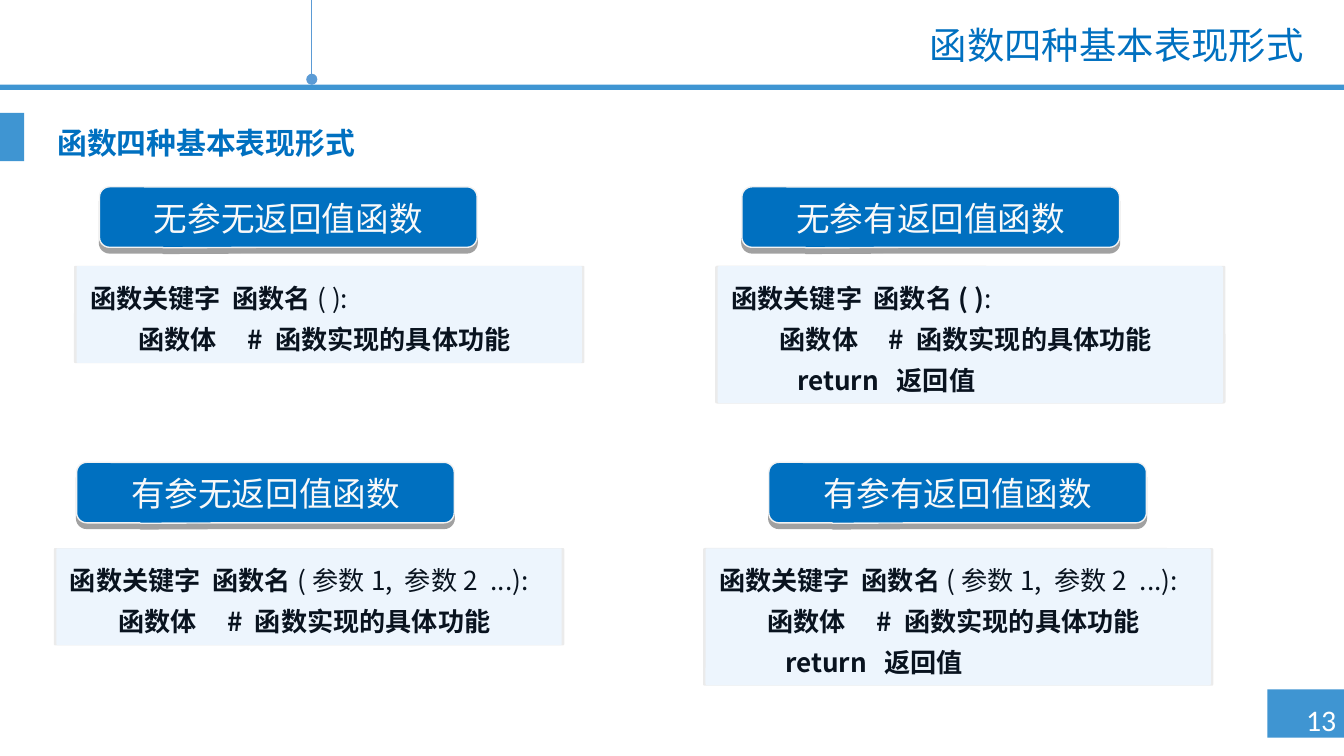
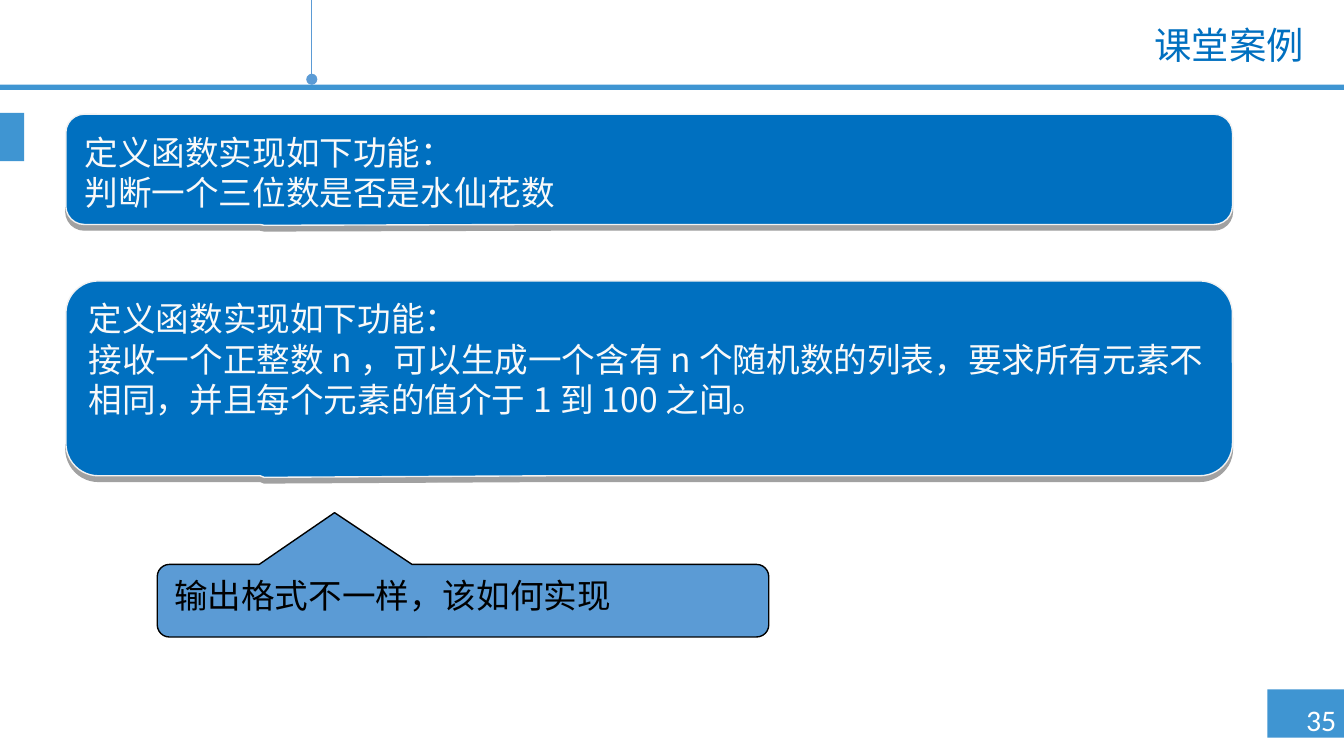
import pptx
import pptx.util
import pptx.oxml
import pptx.oxml.ns
import pptx.dml.color
import pptx.enum.shapes
import pptx.enum.text
from lxml import etree

Inches = pptx.util.Inches
Pt = pptx.util.Pt
qn = pptx.oxml.ns.qn
MSO = pptx.enum.shapes.MSO_SHAPE
ALIGN = pptx.enum.text.PP_ALIGN
ANCHOR = pptx.enum.text.MSO_ANCHOR

COLORS = {
    "band": "3F95D2",
    "rule": "5B9BD5",
    "blue": "0070C0",
    "edge": "F2F2F2",
    "light": "F9F9F9",
    "panel": "EDF5FD",
    "code": "09131F",
    "black": "000000",
    "white": "FFFFFF",
}
CJK = "Noto Sans CJK SC"
TAIL_DOWN = (-0.33, 0.508, 0.167)
TAIL_UP = (-0.21, -1.213, 0.167)
BODY_LINE = ("\t函数体\t# 函数实现的具体功能", "", [0.36, 1.17])
RETURN_LINE = ("\treturn\t返回值", "", [0.49, 1.23])


def rgb(name):
    return pptx.dml.color.RGBColor.from_string(COLORS[name])


def add_box(slide, kind, box, fill, line=None, adj=()):
    sp = slide.shapes.add_shape(kind, *map(Inches, box))
    sp.shadow.inherit = False
    sp.fill.solid()
    sp.fill.fore_color.rgb = rgb(fill)
    if line:
        sp.line.color.rgb = rgb(line)
        sp.line.width = Pt(0.75)
    else:
        sp.line.fill.background()
    for i, value in enumerate(adj):
        sp.adjustments[i] = value
    return sp


def add_shadow(sp, alpha, **attrs):
    effects = sp._element.spPr.find(qn("a:effectLst"))
    shadow = etree.SubElement(effects, qn("a:outerShdw"), rotWithShape="0", **attrs)
    color = etree.SubElement(shadow, qn("a:srgbClr"), val=COLORS["black"])
    etree.SubElement(color, qn("a:alpha"), val=str(alpha * 1000))


def style(p, size, font, color, align=ALIGN.LEFT, bold=None):
    p.alignment = align
    p.font.size = Pt(size)
    p.font.name = font
    p.font.color.rgb = rgb(color)
    p.font.bold = bold


def fill_text(sp, lines, size, font, color, align=ALIGN.LEFT, anchor=ANCHOR.TOP,
              bold=None, spacing=None, wrap=True):
    tf = sp.text_frame
    tf.word_wrap = wrap
    tf.vertical_anchor = anchor
    tf.text = "\n".join(lines)
    for p in tf.paragraphs:
        p.line_spacing = spacing
        style(p, size, font, color, align, bold)


def add_text(slide, box, text, *args, **kwargs):
    sp = slide.shapes.add_textbox(*map(Inches, box))
    fill_text(sp, [text], *args, **kwargs)


def add_frame(prs, title, number):
    slide = prs.slides.add_slide(prs.slide_layouts[6])
    for box in ((9.43, 5.13, 0.57, 0.36), (0, 0.63, 10, 0.04), (0, 0.84, 0.18, 0.36)):
        add_box(slide, MSO.RECTANGLE, box, "band")
    add_text(slide, (9.57, 5.17, 0.52, 0.37), str(number), 16, "Calibri", "white",
             ALIGN.CENTER, wrap=False)
    rule = slide.shapes.add_connector(
        pptx.enum.shapes.MSO_CONNECTOR.STRAIGHT,
        Inches(2.32), Inches(0), Inches(2.32), Inches(0.59))
    rule.line.color.rgb = rgb("rule")
    rule.line.width = Pt(0.75)
    etree.SubElement(rule._element.spPr.find(qn("a:ln")), qn("a:tailEnd"), type="oval")
    etree.SubElement(rule._element.spPr, qn("a:effectLst"))
    add_text(slide, (2.4, 0.15, 7.4, 0.4), title, 20, "Lato", "blue",
             ALIGN.RIGHT, ANCHOR.MIDDLE, spacing=0.9)
    return slide


def add_banner(slide, box, lines, align=ALIGN.LEFT):
    sp = add_box(slide, MSO.ROUNDED_RECTANGULAR_CALLOUT, box, "blue", "edge", TAIL_DOWN)
    add_shadow(sp, 37, dist=str(Pt(3)), dir="5400000")
    fill_text(sp, lines, 18, CJK, "light", align, ANCHOR.BOTTOM)
    return sp


def add_tabs(p, stops):
    tabs = etree.SubElement(p._p.get_or_add_pPr(), qn("a:tabLst"))
    for stop in stops:
        etree.SubElement(tabs, qn("a:tab"), pos=str(Inches(stop)), algn="l")


def add_code(slide, left, top, head, returns):
    lines = [head, BODY_LINE] + [RETURN_LINE] * returns
    box = (left, top, 3.76, 0.12 + 0.3 * len(lines))
    sp = add_box(slide, MSO.ROUNDED_RECTANGLE, box, "panel", adj=(0.013,))
    add_shadow(sp, 7, sx="101000", sy="100500", algn="ctr")
    tf = sp.text_frame
    tf.word_wrap = True
    tf.vertical_anchor = ANCHOR.TOP
    for i, (strong, plain, stops) in enumerate(lines):
        p = tf.paragraphs[0] if i == 0 else tf.add_paragraph()
        p.line_spacing = 1.3
        add_tabs(p, stops)
        style(p, 14, CJK, "code")
        for text, bold in ((strong, True), (plain, False)):
            if text:
                r = p.add_run()
                r.text = text
                r.font.bold = bold


def build_forms(prs):
    slide = add_frame(prs, "函数四种基本表现形式", 13)
    add_text(slide, (0.2, 0.91, 2.67, 0.48), "函数四种基本表现形式", 16, CJK, "blue",
             ALIGN.CENTER, bold=True, spacing=0.9)
    name = "函数关键字\t函数名"
    no_args = (name, "( ):", [1.06])
    no_args_bold = (name + "( )", ":", [1.06])
    args = (name, "(参数1, 参数2\t...):", [1.06, 3.13])
    forms = [
        ("无参无返回值函数", (0.74, 1.39), (0.57, 1.98), no_args, False),
        ("有参无返回值函数", (0.57, 3.44), (0.42, 4.08), args, False),
        ("无参有返回值函数", (5.52, 1.39), (5.34, 1.98), no_args_bold, True),
        ("有参有返回值函数", (5.72, 3.44), (5.25, 4.08), args, True),
    ]
    for label, banner_at, code_at, head, returns in forms:
        add_code(slide, *code_at, head, returns)
        add_banner(slide, (*banner_at, 2.81, 0.45), [label], ALIGN.CENTER)


def build_cases(prs):
    slide = add_frame(prs, "课堂案例", 35)
    intro = "定义函数实现如下功能："
    add_banner(slide, (0.49, 0.85, 8.68, 0.82), [intro, "判断一个三位数是否是水仙花数"])
    task = add_banner(slide, (0.49, 2.09, 8.68, 1.45), [
        intro,
        "接收一个正整数n，可以生成一个含有n个随机数的列表，"
        "要求所有元素不相同，并且每个元素的值介于1到100之间。"])
    task.text_frame.margin_bottom = Inches(0.35)
    hint = add_box(slide, MSO.ROUNDED_RECTANGULAR_CALLOUT, (1.17, 4.2, 4.55, 0.54),
                   "rule", "black", TAIL_UP)
    fill_text(hint, ["输出格式不一样，该如何实现"], 18, "Arial", "black")


def main():
    prs = pptx.Presentation()
    prs.slide_width = Inches(10)
    prs.slide_height = Inches(10 * 9 / 16)
    build_forms(prs)
    build_cases(prs)
    prs.save("out.pptx")


if __name__ == "__main__":
    main()
